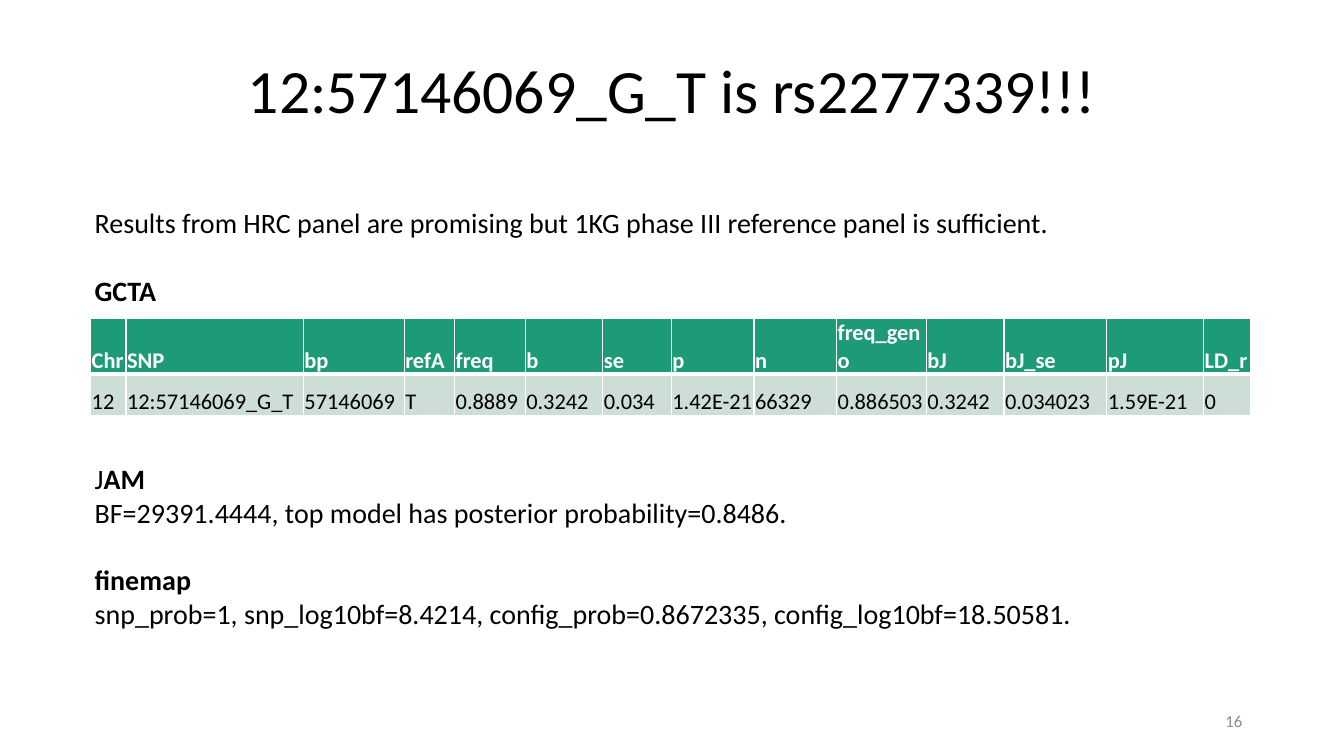
from lxml import etree
from pptx import Presentation
from pptx.dml.color import RGBColor
from pptx.enum.text import MSO_ANCHOR, PP_ALIGN
from pptx.oxml.ns import qn
from pptx.util import Inches, Pt

LEFT, CENTER, RIGHT = PP_ALIGN.LEFT, PP_ALIGN.CENTER, PP_ALIGN.RIGHT
TOP, MIDDLE, BOTTOM = MSO_ANCHOR.TOP, MSO_ANCHOR.MIDDLE, MSO_ANCHOR.BOTTOM
COLORS = {"ink": "000000", "white": "FFFFFF", "header": "1D9A78",
          "body": "CDDED6", "page": "8C8C8C"}
BLANK_LINE = 24.4

GCTA_COLUMNS = [
    ("Chr", "12", 0.35), ("SNP", "12:57146069_G_T", 1.76),
    ("bp", "57146069", 1), ("refA", "T", 0.5), ("freq", "0.8889", 0.7),
    ("b", "0.3242", 0.77), ("se", "0.034", 0.68), ("p", "1.42E-21", 0.82),
    ("n", "66329", 0.82), ("freq_geno", "0.886503", 0.89),
    ("bJ", "0.3242", 0.77), ("bJ_se", "0.034023", 1.02),
    ("pJ", "1.59E-21", 0.96), ("LD_r", "0", 0.47),
]


def rgb(name):
    """Return the named colour."""
    return RGBColor.from_string(COLORS[name])


def write(paragraph, text, size=20, color="ink", bold=False, align=LEFT, before=0):
    """Append formatted text to a paragraph."""
    paragraph.alignment = align
    paragraph.space_before = Pt(before)
    run = paragraph.add_run()
    run.text = text
    run.font.name = "Calibri"
    run.font.size = Pt(size)
    run.font.bold = bold
    run.font.color.rgb = rgb(color)


def text_frame(slide, box, anchor=TOP):
    """Add a wrapping text box and return its frame."""
    frame = slide.shapes.add_textbox(*map(Inches, box)).text_frame
    frame.word_wrap = True
    frame.vertical_anchor = anchor
    return frame


def add_title(slide, box):
    """Place and fill the title placeholder."""
    title = slide.shapes.title
    title.left, title.top, title.width, title.height = map(Inches, box)
    title.text_frame.vertical_anchor = MIDDLE
    heading = title.text_frame.paragraphs[0]
    heading.line_spacing = 0.9
    write(heading, "12:57146069_G_T is rs2277339!!!", size=44, align=CENTER)


def add_summary(slide, box):
    """Add the summary sentence and the table heading."""
    frame = text_frame(slide, box)
    write(frame.paragraphs[0], "Results from HRC panel are promising but "
          "1KG phase III reference panel is sufficient.")
    write(frame.add_paragraph(), "GCTA", bold=True, before=BLANK_LINE)


def set_borders(cell, **widths):
    """Draw white cell borders with widths in points, keyed by L, R, T and B."""
    properties = cell._tc.get_or_add_tcPr()
    for index, side in enumerate("LRTB"):
        line = etree.Element(qn(f"a:ln{side}"), w=str(Pt(widths.get(side, 1))))
        fill = etree.SubElement(line, qn("a:solidFill"))
        etree.SubElement(fill, qn("a:srgbClr"), val=COLORS["white"])
        properties.insert(index, line)


def fill_cell(cell, text, fill, color, bold, **widths):
    """Write and style one table cell."""
    cell.margin_left = cell.margin_right = cell.margin_top = Inches(0.01)
    cell.margin_bottom = 0
    cell.vertical_anchor = BOTTOM
    cell.fill.solid()
    cell.fill.fore_color.rgb = rgb(fill)
    write(cell.text_frame.paragraphs[0], text, size=16, color=color, bold=bold)
    set_borders(cell, **widths)


def add_gcta_table(slide, left, top, row_height):
    """Add the table of GCTA results."""
    total = sum(width for _, _, width in GCTA_COLUMNS)
    table = slide.shapes.add_table(
        2, len(GCTA_COLUMNS), Inches(left), Inches(top),
        Inches(total), Inches(2 * row_height)).table
    for index, (name, value, width) in enumerate(GCTA_COLUMNS):
        table.columns[index].width = Inches(width)
        fill_cell(table.cell(0, index), name, "header", "white", True, B=3)
        fill_cell(table.cell(1, index), value, "body", "ink", False, T=3)


def add_model_results(slide, box):
    """Add the JAM and finemap results."""
    frame = text_frame(slide, box)
    jam = frame.paragraphs[0]
    write(jam, "J")
    write(jam, "AM", bold=True)
    write(frame.add_paragraph(),
          "BF=29391.4444, top model has posterior probability=0.8486.")
    write(frame.add_paragraph(), "finemap", bold=True, before=BLANK_LINE)
    write(frame.add_paragraph(), "snp_prob=1, snp_log10bf=8.4214, "
          "config_prob=0.8672335, config_log10bf=18.50581.")


def add_page_number(slide, box):
    """Add the page number at the bottom right."""
    frame = text_frame(slide, box, MIDDLE)
    write(frame.paragraphs[0], "16", size=12, color="page", align=RIGHT)


def main():
    """Build and save the slide."""
    deck = Presentation()
    deck.slide_width, deck.slide_height = Inches(13.33), Inches(7.5)
    slide = deck.slides.add_slide(deck.slide_layouts[5])
    add_title(slide, (0.92, 0.4, 11.5, 1.05))
    add_gcta_table(slide, 0.9, 3.16, 0.41)
    add_page_number(slide, (9.42, 6.95, 3, 0.4))
    add_summary(slide, (0.84, 1.99, 11.4, 1.11))
    add_model_results(slide, (0.84, 4.53, 11.51, 1.78))
    deck.save("out.pptx")


if __name__ == "__main__":
    main()
